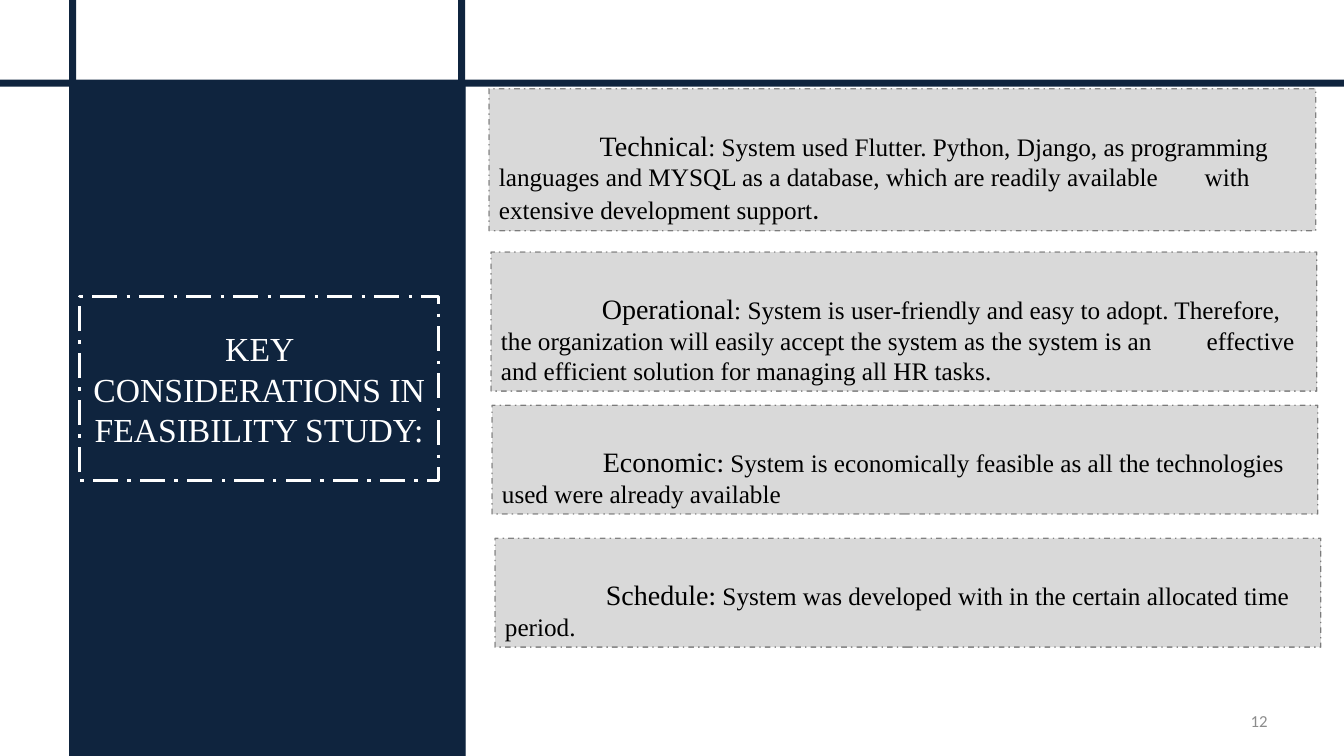
import dataclasses

import pptx
import pptx.dml.color
import pptx.enum.dml
import pptx.enum.shapes
import pptx.enum.text
import pptx.oxml.ns
import pptx.util
from lxml import etree

Inches = pptx.util.Inches
Pt = pptx.util.Pt
RGB = pptx.dml.color.RGBColor.from_string
Dash = pptx.enum.dml.MSO_LINE
Align = pptx.enum.text.PP_ALIGN
Anchor = pptx.enum.text.MSO_ANCHOR


@dataclasses.dataclass(frozen=True)
class Theme:
    """Colours, fonts and type sizes of the slide."""
    navy: str = "0F243E"
    white: str = "FFFFFF"
    card: str = "D9D9D9"
    border: str = "0D0D0D"
    ink: str = "000000"
    muted: str = "8C8C8C"
    serif: str = "Times New Roman"
    sans: str = "Calibri"
    title: int = 24
    label: int = 20
    body: int = 18
    number: int = 12


THEME = Theme()
LABEL = (THEME.label, THEME.serif)
MARK = (THEME.label, THEME.sans)
BODY = (THEME.body, THEME.serif)

CARDS = [
    ((4.85, 0.88, 8.2, 1.41), [
        ("Technical", LABEL),
        (": System used Flutter. Python, Django, as programming languages and MYSQL "
         "as a database, which are readily available \twith extensive development support", BODY),
        (".", MARK)]),
    ((4.87, 2.5, 8.19, 1.38), [
        ("Operational", LABEL),
        (": System is user-friendly and easy to adopt. Therefore, the organization will easily "
         "accept the system as the system is an \teffective and efficient solution for "
         "managing all HR tasks.", BODY)]),
    ((4.88, 4.02, 8.19, 1.08), [
        ("Economic", LABEL), (": ", MARK),
        ("System is economically feasible as all the technologies used were already available", BODY)]),
    ((4.91, 5.34, 8.19, 1.08), [
        ("Schedule", LABEL), (": ", MARK),
        ("System was developed with in the certain allocated time period.", BODY)]),
]


def style(r, size, face, color):
    """Set the type of one run."""
    r.font.size = Pt(size)
    r.font.name = face
    r.font.color.rgb = RGB(color)


def add_rect(s, box, fill):
    """Add a filled rectangle without outline or shadow."""
    sp = s.shapes.add_shape(pptx.enum.shapes.MSO_SHAPE.RECTANGLE, *map(Inches, box))
    sp.shadow.inherit = False
    sp.fill.solid()
    sp.fill.fore_color.rgb = RGB(fill)
    sp.line.fill.background()
    return sp


def set_outline(sp, color, width, dash):
    """Give a shape a dashed outline."""
    sp.line.color.rgb = RGB(color)
    sp.line.width = Pt(width)
    sp.line.dash_style = dash


def add_frame(s, box, bar=0.07):
    """Draw the side panel with bars along its top and both sides."""
    x, y, w, h = box
    slide_w, slide_h = 13.33, y + h
    add_rect(s, box, THEME.navy)
    add_rect(s, (0, y - 0.06, slide_w, bar), THEME.navy)
    for edge in (x, x + w - 0.04):
        add_rect(s, (edge - bar / 2, 0, bar, slide_h), THEME.navy)


def add_title(s, box, text):
    """Place the title in its dashed box above the panel."""
    sp = s.shapes.title
    sp.element.getparent().append(sp.element)
    sp.left, sp.top, sp.width, sp.height = map(Inches, box)
    set_outline(sp, THEME.white, 2.25, Dash.LONG_DASH_DOT)
    tf = sp.text_frame
    tf.text = text
    tf.word_wrap = True
    tf.auto_size = pptx.enum.text.MSO_AUTO_SIZE.NONE
    tf.vertical_anchor = Anchor.MIDDLE
    p = tf.paragraphs[0]
    p.alignment = Align.CENTER
    style(p.runs[0], THEME.title, THEME.serif, THEME.white)


def add_card(s, box, runs):
    """Add one grey card with an indented label and its explanation."""
    sp = add_rect(s, box, THEME.card)
    set_outline(sp, THEME.border, 1, Dash.DASH_DOT)
    color = sp.line.fill._xPr.find(".//" + pptx.oxml.ns.qn("a:srgbClr"))
    etree.SubElement(color, pptx.oxml.ns.qn("a:alpha"), val="46000")
    tf = sp.text_frame
    tf.word_wrap = True
    tf.vertical_anchor = Anchor.TOP
    tf.margin_top = Inches(0.39)
    p = tf.paragraphs[0]
    p.alignment = Align.LEFT
    pPr = p._p.get_or_add_pPr()
    pPr.set("marL", "0")
    pPr.set("indent", str(Inches(1)))
    for text, (size, face) in runs:
        r = p.add_run()
        r.text = text
        style(r, size, face, THEME.ink)


def add_number(s, box, text):
    """Add the page number at the right of its box."""
    tf = s.shapes.add_textbox(*map(Inches, box)).text_frame
    tf.text = text
    tf.word_wrap = True
    tf.vertical_anchor = Anchor.MIDDLE
    p = tf.paragraphs[0]
    p.alignment = Align.RIGHT
    style(p.runs[0], THEME.number, THEME.sans, THEME.muted)


def main():
    """Build the slide and save it."""
    prs = pptx.Presentation()
    prs.slide_width, prs.slide_height = Inches(13.33), Inches(7.5)
    s = prs.slides.add_slide(prs.slide_layouts[5])
    add_frame(s, (0.72, 0.85, 3.9, 6.65))
    add_title(s, (0.79, 2.94, 3.56, 1.83), "KEY CONSIDERATIONS IN FEASIBILITY STUDY:")
    for box, runs in CARDS:
        add_card(s, box, runs)
    add_number(s, (9.56, 6.95, 3.11, 0.4), "12")
    prs.save("out.pptx")


if __name__ == "__main__":
    main()
